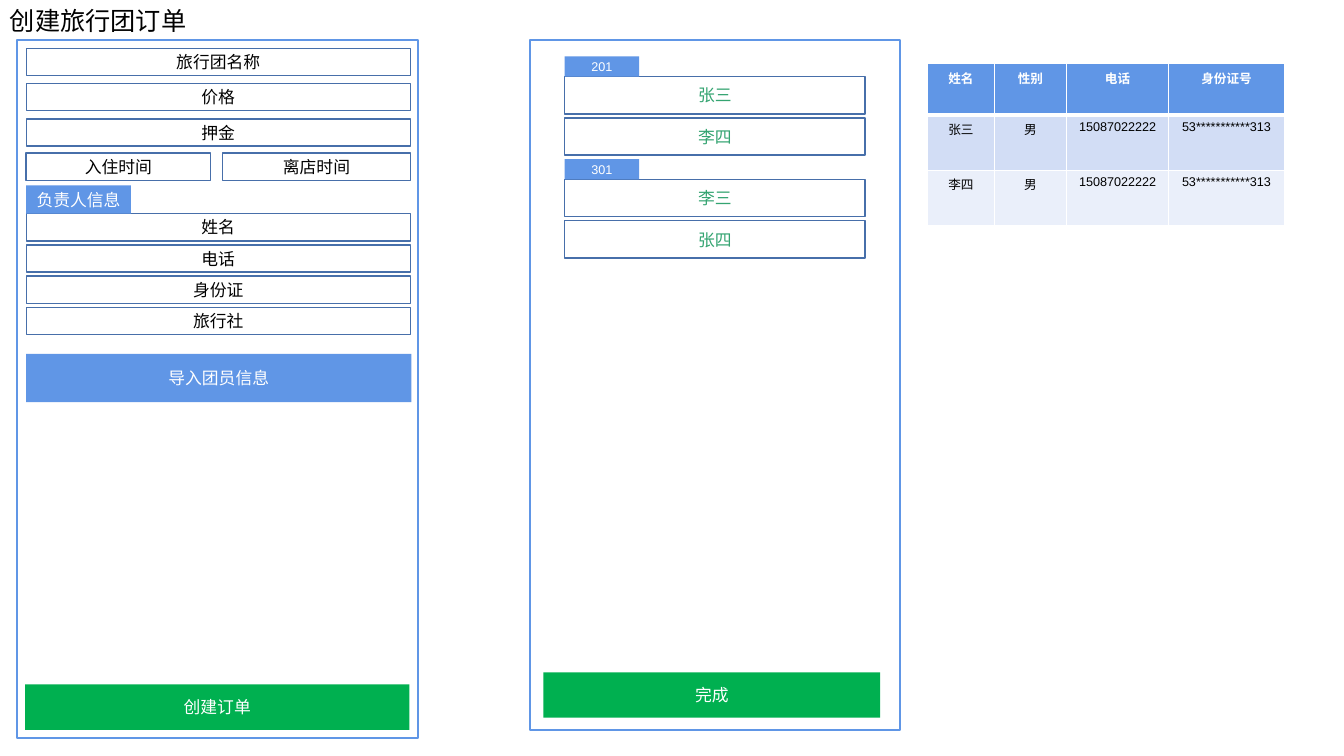
"""Build the slide that sketches the tour group order screens."""
from dataclasses import dataclass
from typing import Optional

from lxml import etree
from pptx import Presentation
from pptx.dml.color import RGBColor
from pptx.enum.shapes import MSO_SHAPE
from pptx.enum.text import MSO_ANCHOR, MSO_AUTO_SIZE, PP_ALIGN
from pptx.oxml.ns import qn
from pptx.util import Inches, Pt

RECT = MSO_SHAPE.RECTANGLE
MIDDLE = MSO_ANCHOR.MIDDLE
FIT_SHAPE = MSO_AUTO_SIZE.SHAPE_TO_FIT_TEXT
CENTER, LEFT = PP_ALIGN.CENTER, PP_ALIGN.LEFT


@dataclass(frozen=True)
class Theme:
    font: str = "Arial"
    title: int = 18
    body: int = 12
    small: int = 9
    black: str = "000000"
    white: str = "FFFFFF"
    blue: str = "6096E6"
    outline: str = "476FAA"
    green: str = "00B050"
    guest: str = "34A471"
    bands: tuple = ("D2DDF5", "EAEFFA")


T = Theme()


@dataclass(frozen=True)
class Box:
    left: float
    top: float
    width: float
    height: float
    text: str = ""
    fill: Optional[str] = None
    line: Optional[str] = None
    line_width: float = 1
    color: str = T.white
    size: int = T.body


def write(tf, text: str, *, size: int = T.body, color: str = T.black,
          bold: bool = False, align=CENTER) -> None:
    p = tf.paragraphs[0]
    p.alignment = align
    r = p.add_run()
    r.text = text
    r.font.name = T.font
    r.font.size = Pt(size)
    r.font.bold = bold
    r.font.color.rgb = RGBColor.from_string(color)


def draw_box(s, box: Box) -> None:
    sp = s.shapes.add_shape(RECT, Inches(box.left), Inches(box.top),
                            Inches(box.width), Inches(box.height))
    sp.shadow.inherit = False
    if box.fill:
        sp.fill.solid()
        sp.fill.fore_color.rgb = RGBColor.from_string(box.fill)
    else:
        sp.fill.background()
    if box.line:
        sp.line.color.rgb = RGBColor.from_string(box.line)
        sp.line.width = Pt(box.line_width)
    else:
        sp.line.fill.background()
    if box.text:
        sp.text_frame.word_wrap = True
        sp.text_frame.vertical_anchor = MIDDLE
        write(sp.text_frame, box.text, size=box.size, color=box.color)


def panel(left: float, width: float, height: float) -> Box:
    return Box(left, 0.4, width, height, line=T.blue, line_width=1.5)


def field(text: str, top: float, left: float = 0.26, width: float = 3.81) -> Box:
    return Box(left, top, width, 0.27, text, line=T.outline, color=T.black)


def room(number: str, top: float, guests: tuple) -> list[Box]:
    label = Box(5.6, top, 0.74, 0.2, number, fill=T.blue, size=T.small)
    return [Box(5.6, top + 0.2 + 0.41 * i, 2.98, 0.37, guest,
                line=T.outline, color=T.guest)
            for i, guest in enumerate(guests)] + [label]


def set_borders(cell, top: float, bottom: float) -> None:
    tc_pr = cell._tc.get_or_add_tcPr()
    for side, width in (("L", 1), ("R", 1), ("T", top), ("B", bottom)):
        ln = etree.SubElement(tc_pr, qn(f"a:ln{side}"), w=str(Pt(width)))
        fill = etree.SubElement(ln, qn("a:solidFill"))
        etree.SubElement(fill, qn("a:srgbClr"), val=T.white)


def draw_members(s, rows: list[tuple], widths: tuple, heights: tuple) -> None:
    table = s.shapes.add_table(len(rows), len(widths), Inches(9.2), Inches(0.63),
                               Inches(sum(widths)), Inches(sum(heights))).table
    for column, width in zip(table.columns, widths):
        column.width = Inches(width)
    for i, (values, height) in enumerate(zip(rows, heights)):
        table.rows[i].height = Inches(height)
        header = i == 0
        for j, value in enumerate(values):
            cell = table.cell(i, j)
            set_borders(cell, 3 if i == 1 else 1, 3 if header else 1)
            cell.fill.solid()
            cell.fill.fore_color.rgb = RGBColor.from_string(
                T.blue if header else T.bands[(i - 1) % 2])
            write(cell.text_frame, value, size=T.small, bold=header,
                  color=T.white if header else T.black)


def draw_title(s, text: str) -> None:
    sp = s.shapes.add_textbox(0, 0, Inches(1.95), Inches(0.4))
    tf = sp.text_frame
    tf.word_wrap = False
    tf.auto_size = FIT_SHAPE
    write(tf, text, size=T.title, align=LEFT)


def main() -> None:
    prs = Presentation()
    prs.slide_width, prs.slide_height = Inches(13.33), Inches(7.5)
    s = prs.slides.add_slide(prs.slide_layouts[6])
    draw_title(s, "创建旅行团订单")

    order = [panel(0.17, 3.98, 6.92)]
    order += [field(text, 0.48 + 0.35 * i)
              for i, text in enumerate(("旅行团名称", "价格", "押金"))]
    order += [field("入住时间", 1.52, width=1.83),
              field("离店时间", 1.52, left=2.21, width=1.86)]
    order += [field(text, 2.12 + 0.31 * i)
              for i, text in enumerate(("姓名", "电话", "身份证", "旅行社"))]
    order += [Box(0.26, 1.84, 1.04, 0.28, "负责人信息", fill=T.blue),
              Box(0.26, 3.51, 3.82, 0.48, "导入团员信息", fill=T.blue),
              Box(0.25, 6.79, 3.81, 0.45, "创建订单", fill=T.green)]

    rooms = [panel(5.26, 3.67, 6.84),
             *room("201", 0.56, ("张三", "李四")),
             *room("301", 1.58, ("李三", "张四")),
             Box(5.39, 6.67, 3.34, 0.45, "完成", fill=T.green)]
    for box in order + rooms:
        draw_box(s, box)

    draw_members(s, [("姓名", "性别", "电话", "身份证号"),
                     ("张三", "男", "15087022222", "53***********313"),
                     ("李四", "男", "15087022222", "53***********313")],
                 (0.66, 0.72, 1.01, 1.15), (0.51, 0.55, 0.55))
    prs.save("out.pptx")


if __name__ == "__main__":
    main()
